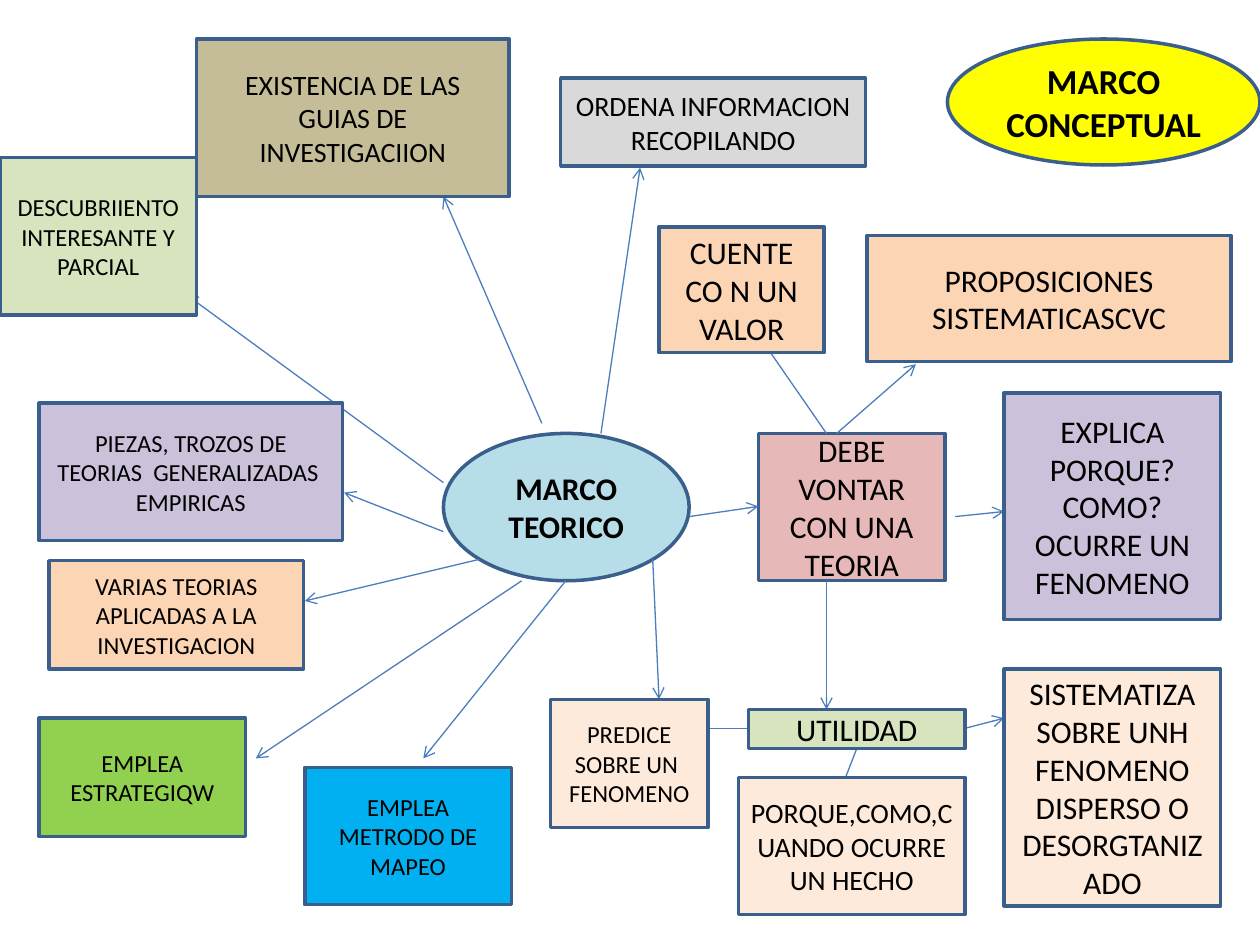
from lxml import etree
from pptx import Presentation
from pptx import util as u
from pptx.dml.color import RGBColor
from pptx.enum import shapes, text
from pptx.oxml import ns

BLACK = RGBColor(0x00, 0x00, 0x00)
OUTLINE = RGBColor(0x3A, 0x5F, 0x8C)
ARROW = RGBColor(0x4B, 0x7E, 0xBC)
AQUA = RGBColor(0xB7, 0xDE, 0xE8)
ROSE = RGBColor(0xE6, 0xB9, 0xB8)
LILAC = RGBColor(0xCC, 0xC1, 0xDA)
PEACH = RGBColor(0xFC, 0xD5, 0xB5)
CREAM = RGBColor(0xFD, 0xEA, 0xDA)
SAGE = RGBColor(0xD7, 0xE4, 0xBD)
GREY = RGBColor(0xD9, 0xD9, 0xD9)
TAN = RGBColor(0xC4, 0xBD, 0x97)
GREEN = RGBColor(0x92, 0xD0, 0x50)
BLUE = RGBColor(0x00, 0xB0, 0xF0)
YELLOW = RGBColor(0xFF, 0xFF, 0x00)


class ConceptMap:
    font_name = "Calibri"
    outline_width = 2
    arrow_width = 0.75

    def __init__(self, slide):
        self.slide = slide

    def node(self, kind, wording, fill, size, left, top, width, height, bold=False):
        shape = self.slide.shapes.add_shape(
            kind, u.Pt(left), u.Pt(top), u.Pt(width), u.Pt(height))
        shape.shadow.inherit = False
        shape.fill.solid()
        shape.fill.fore_color.rgb = fill
        shape.line.color.rgb = OUTLINE
        shape.line.width = u.Pt(self.outline_width)
        frame = shape.text_frame
        frame.word_wrap = True
        frame.vertical_anchor = text.MSO_ANCHOR.MIDDLE
        frame.text = wording
        for paragraph in frame.paragraphs:
            paragraph.alignment = text.PP_ALIGN.CENTER
            paragraph.font.name = self.font_name
            paragraph.font.size = u.Pt(size)
            paragraph.font.bold = bold
            paragraph.font.color.rgb = BLACK

    def box(self, *details):
        self.node(shapes.MSO_SHAPE.RECTANGLE, *details)

    def oval(self, *details):
        self.node(shapes.MSO_SHAPE.OVAL, *details, bold=True)

    def arrow(self, *ends):
        connector = self.slide.shapes.add_connector(
            shapes.MSO_CONNECTOR.STRAIGHT, *map(u.Pt, ends))
        connector.line.color.rgb = ARROW
        connector.line.width = u.Pt(self.arrow_width)
        etree.SubElement(connector.line._get_or_add_ln(), ns.qn("a:tailEnd"), type="arrow")
        etree.SubElement(connector._element.spPr, ns.qn("a:effectLst"))


# Each arrow: start x, start y, end x, end y
ARROWS = [
    # From the theory box and the usefulness box
    (545.8, 295.2, 573.8, 292.3),
    (478.1, 247.7, 523.4, 208.1),
    (472.3, 247.7, 433.4, 191.5),
    (472.3, 331.9, 472.3, 405.4),
    (427.7, 416.2, 393.8, 416.2),
    (489.6, 427.7, 472.3, 472.3),
    (551.5, 416.2, 573.8, 410.4),
    # From the central oval
    (393.8, 295.2, 433.4, 289.4),
    (343.4, 247.7, 365.8, 95.8),
    (309.6, 241.9, 253.4, 112.3),
    (253.4, 275.8, 106.6, 168.5),
    (253.4, 303.8, 196.6, 281.5),
    (273.6, 319.7, 174.2, 343.4),
    (298.1, 331.9, 146.2, 433.4),
    (323.3, 331.9, 241.9, 433.4),
    (373, 319.7, 376.6, 399.6),
]

# Each box: wording, fill, text size, left, top, width, height
BOXES = [
    # Right: what a theory must have
    ("EXPLICA\nPORQUE?\nCOMO?\nOCURRE UN FENOMENO", LILAC, 18, 573.8, 224.6, 123.8, 129.6),
    ("PROPOSICIONES SISTEMATICASCVC", PEACH, 18, 495.4, 134.6, 208.1, 72),
    ("CUENTE CO N UN VALOR", PEACH, 18, 376.6, 129.6, 94.3, 72),
    # Lower right: usefulness
    ("UTILIDAD", SAGE, 18, 427.7, 405.4, 123.8, 22.3),
    ("PREDICE SOBRE UN  FENOMENO", CREAM, 14, 314.6, 399.6, 90, 73.4),
    ("PORQUE,COMO,CUANDO OCURRE UN HECHO", CREAM, 16, 421.9, 444.2, 129.6, 78.5),
    ("SISTEMATIZA SOBRE UNH FENOMENO DISPERSO O DESORGTANIZADO", CREAM, 18,
     573.8, 382.3, 123.8, 135.4),
    # Top and left: branches of the framework
    ("ORDENA INFORMACION RECOPILANDO", GREY, 16, 320.4, 44.6, 174.2, 50.4),
    ("EXISTENCIA DE LAS GUIAS DE INVESTIGACIION", TAN, 16, 112.3, 22.3, 178.6, 90),
    ("DESCUBRIIENTO INTERESANTE Y PARCIAL", SAGE, 14, 0, 90, 112.3, 90),
    ("PIEZAS, TROZOS DE TEORIAS  GENERALIZADAS  EMPIRICAS", LILAC, 14,
     22.3, 230.4, 173.5, 78.5),
    ("VARIAS TEORIAS APLICADAS A LA INVESTIGACION", PEACH, 14, 28.1, 320.4, 145.4, 61.9),
    ("EMPLEA ESTRATEGIQW", GREEN, 14, 22.3, 410.4, 118.1, 67.7),
    ("EMPLEA METRODO DE MAPEO", BLUE, 14, 174.2, 438.5, 118.1, 78.5),
]


def main():
    presentation = Presentation()
    presentation.slide_width = u.Pt(720)
    presentation.slide_height = u.Pt(540)
    concept_map = ConceptMap(presentation.slides.add_slide(presentation.slide_layouts[6]))

    # Hubs lie under the arrows
    concept_map.oval("MARCO TEORICO", AQUA, 18, 253.4, 247.7, 140.4, 84.2)
    concept_map.box("DEBE VONTAR CON UNA TEORIA", ROSE, 18, 433.4, 247.7, 106.6, 84.2)

    for ends in ARROWS:
        concept_map.arrow(*ends)

    # Outer boxes cover the arrow ends
    for details in BOXES:
        concept_map.box(*details)

    # Title
    concept_map.oval("MARCO CONCEPTUAL", YELLOW, 20, 541.4, 22.3, 178.6, 72)

    presentation.save("out.pptx")


if __name__ == "__main__":
    main()
